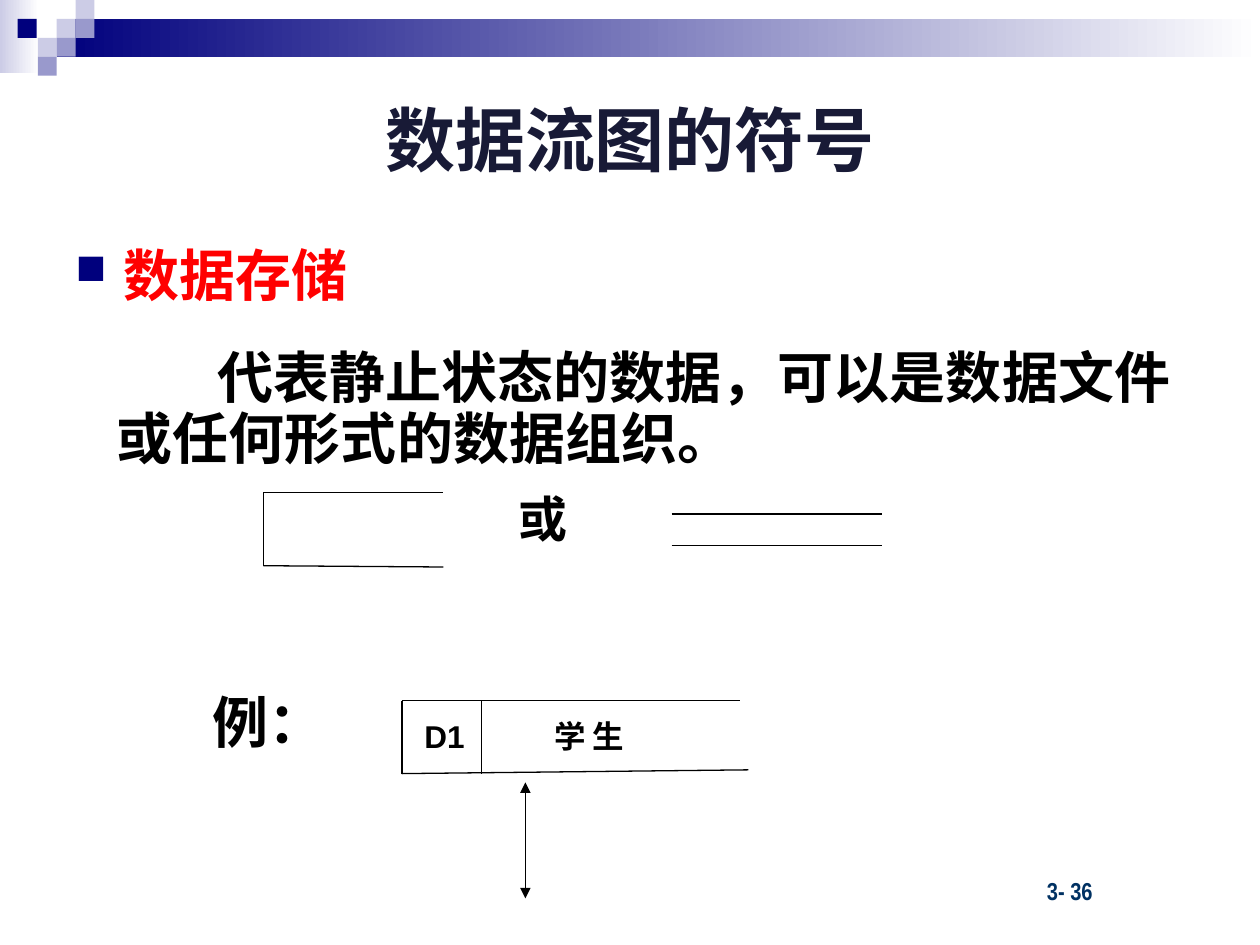
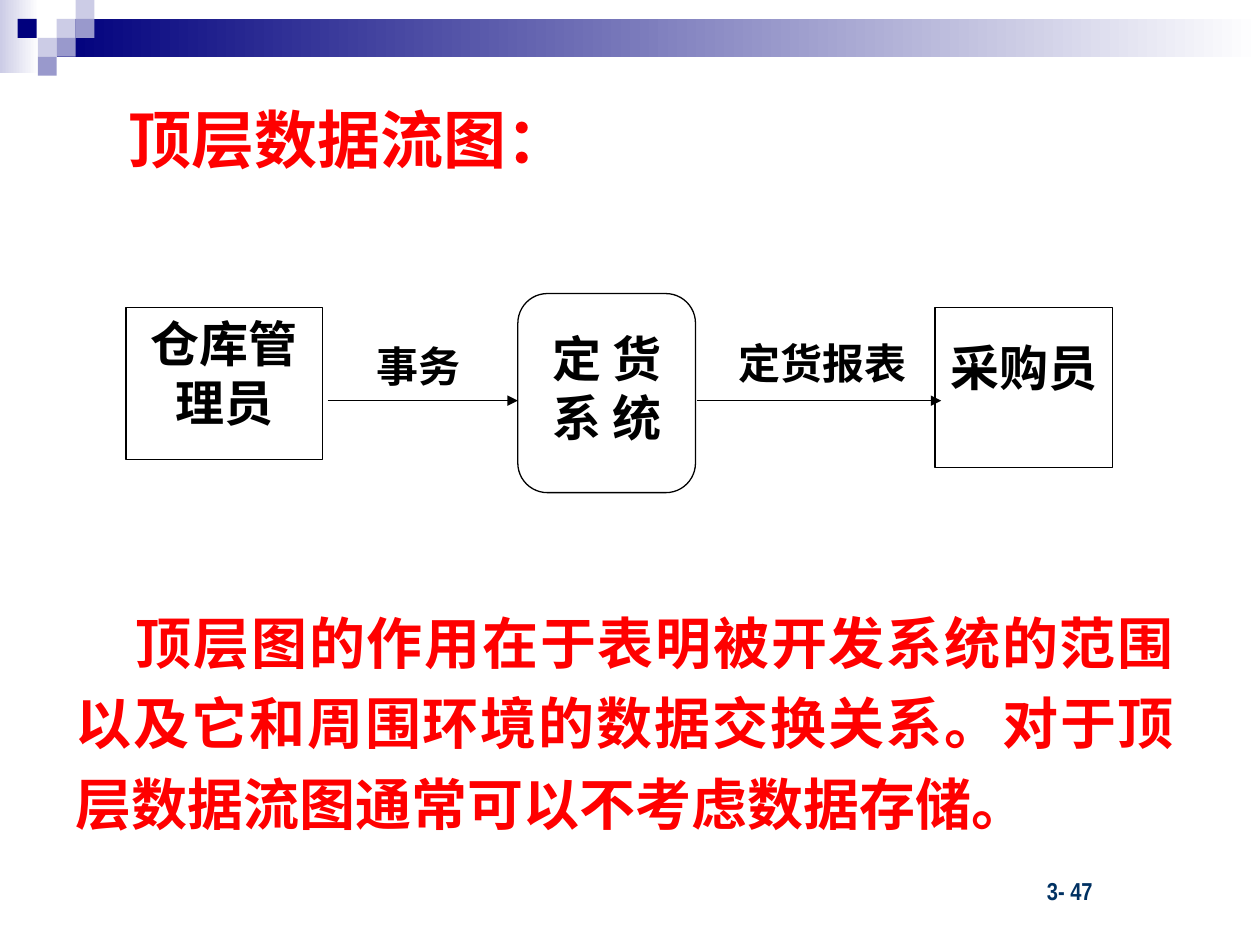
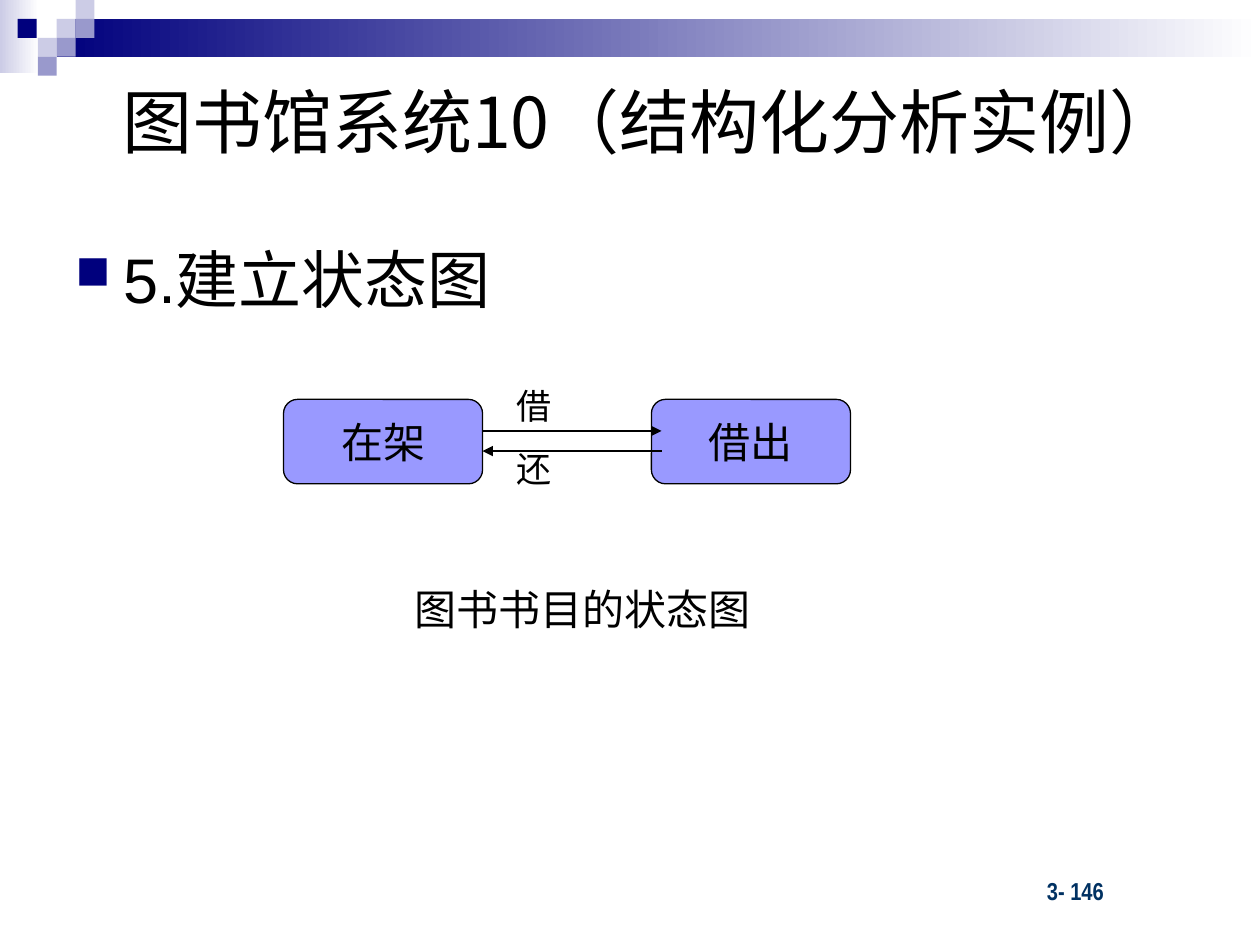
import pptx
import pptx.dml.color
import pptx.enum.shapes
import pptx.enum.text
import pptx.oxml.ns
import pptx.util
from lxml import etree
from pptx.util import Inches

Align = pptx.enum.text.PP_ALIGN
Anchor = pptx.enum.text.MSO_ANCHOR
Preset = pptx.enum.shapes.MSO_SHAPE

COLORS = {
    "navy": "00007D", "lilac": "9999CC", "pale": "CCCCE6", "white": "FFFFFF",
    "footer": "003162", "title": "181A36", "red": "FF0000", "black": "000000",
    "state": "9999FF",
}
CJK = "Noto Sans CJK SC"
SYMBOL = "DejaVu Sans"

BANDS = [((0, 0, 0.31, 0.58), "pale"), ((0.45, 0.15, 9.55, 0.3), "navy")]
SQUARE = 0.15
SQUARES = [
    (0.45, 0.15, "pale"), (0.6, 0, "pale"), (0.6, 0.15, "lilac"),
    (0.3, 0.3, "pale"), (0.14, 0.15, "navy"), (0.45, 0.3, "lilac"),
    (0.3, 0.45, "lilac"),
]
BODY_BOX = (0.5, 1.86, 9, 4.56)

# Each text is (wording, box, style).
STORE_TEXTS = [
    ("数据流图的符号", (0.5, 0.5, 9, 1.2),
     dict(size=40, color="title", bold=True, align=Align.CENTER, anchor=Anchor.MIDDLE)),
    ("数据存储", BODY_BOX, dict(size=32, font=CJK, color="red", bold=True, bullet=True)),
    ("代表静止状态的数据，可以是数据文件或任何形式的数据组织。", (0.83, 2.73, 8.83, 1.06),
     dict(size=32, font=CJK, bold=True, indent=0.8, spacing=0.9)),
    ("或", (4.02, 3.83, 0.72, 0.75),
     dict(size=28, font="Times New Roman", bold=True, align=Align.JUSTIFY)),
    ("例：", (1.59, 5.41, 1.17, 0.64), dict(size=32, bold=True)),
    ("D1", (3.27, 5.64, 0.55, 0.4), dict(size=18, bold=True)),
    ("学 生", (4.3, 5.64, 0.9, 0.4), dict(size=18, bold=True)),
]
STORE_LINES = [
    (2.09, 3.91, 3.52, 3.91), (2.09, 3.91, 2.09, 4.49), (2.09, 4.49, 3.52, 4.5),
    (5.33, 4.08, 7, 4.08), (5.33, 4.33, 7, 4.33),
    (3.19, 5.56, 5.87, 5.56), (3.19, 5.56, 3.19, 6.14), (3.19, 6.14, 5.94, 6.11),
    (3.82, 5.56, 3.82, 6.14),
]
STORE_ARROW = (4.17, 6.21, 4.17, 7.13)

FLOW_TEXTS = [
    ("顶层数据流图：", (0.92, 0.75, 5.25, 0.7),
     dict(size=36, font=CJK, color="red", bold=True, align=Align.JUSTIFY)),
    ("定货报表", (5.63, 2.63, 1.79, 0.62),
     dict(size=24, font=CJK, bold=True, align=Align.CENTER)),
    ("事务", (2.89, 2.65, 1.27, 0.52),
     dict(size=24, font=CJK, bold=True, align=Align.JUSTIFY)),
    ("顶层图的作用在于表明被开发系统的范围以及它和周围环境的数据交换关系。"
     "对于顶层数据流图通常可以不考虑数据存储。", (0.5, 4.67, 8.92, 2.02),
     dict(size=32, font=CJK, color="red", bold=True, align=Align.JUSTIFY,
          indent=0.48, spacing=1.2)),
]
# Each node is (wording, preset, box, top inset).
FLOW_NODES = [
    ("定 货系 统", Preset.FLOWCHART_ALTERNATE_PROCESS, (4.11, 2.33, 1.41, 1.58), 0.21),
    ("仓库管理员", Preset.RECTANGLE, (1, 2.44, 1.56, 1.21), 0.05),
    ("采购员", Preset.RECTANGLE, (7.42, 2.44, 1.41, 1.27), 0.24),
]
FLOW_ARROWS = [(2.6, 3.18, 4.11, 3.18), (5.53, 3.18, 7.47, 3.18)]

STATE_TEXTS = [
    ("图书馆系统10（结构化分析实例）", (0.33, 0.76, 9.67, 0.4),
     dict(size=40, font=CJK, align=Align.CENTER, anchor=Anchor.MIDDLE)),
    ("5.建立状态图", BODY_BOX, dict(size=36, bullet=True)),
    ("借", (4, 3, 1.08, 0.44), dict(size=20, font=SYMBOL)),
    ("还", (4, 3.5, 0.5, 0.44), dict(size=20, font=SYMBOL)),
    ("图书书目的状态图", (2, 4.58, 5.25, 0.5),
     dict(size=24, font=SYMBOL, align=Align.CENTER)),
]
STATES = [("在架", 2.25), ("借出", 5.17)]
STATE_ARROWS = [((3.83, 3.42, 5.25, 3.42), ["tail"]), ((3.83, 3.58, 5.25, 3.58), ["head"])]


def rgb(name):
    return pptx.dml.color.RGBColor.from_string(COLORS[name])


def add_element(parent, tag, **attributes):
    return etree.SubElement(parent, pptx.oxml.ns.qn(tag), attributes)


def write(frame, wording, size, font="Arial", color="black", bold=False, align=None,
          anchor=Anchor.TOP, bullet=False, indent=0, spacing=None, top=0.05):
    frame.word_wrap = True
    frame.vertical_anchor = anchor
    frame.margin_top = Inches(top)
    paragraph = frame.paragraphs[0]
    paragraph.text = wording
    paragraph.alignment = align
    paragraph.line_spacing = spacing
    properties = paragraph._p.get_or_add_pPr()
    if bullet:
        properties.set("marL", str(Inches(0.38)))
        indent = -0.38
        add_element(add_element(properties, "a:buClr"), "a:srgbClr", val=COLORS["navy"])
        add_element(properties, "a:buSzPct", val="75000")
        add_element(properties, "a:buChar", char="■")
    properties.set("indent", str(Inches(indent)))
    paragraph.font.size = pptx.util.Pt(size)
    paragraph.font.bold = bold
    paragraph.font.color.rgb = rgb(color)
    paragraph.font.name = font
    add_element(properties.find(pptx.oxml.ns.qn("a:defRPr")), "a:ea", typeface=CJK)


def add_text(slide, wording, box, style):
    write(slide.shapes.add_textbox(*map(Inches, box)).text_frame, wording, **style)


def add_shape(slide, preset, box, fill=None, outlined=False):
    shape = slide.shapes.add_shape(preset, *map(Inches, box))
    shape.shadow.inherit = False
    if fill:
        shape.fill.solid()
        shape.fill.fore_color.rgb = rgb(fill)
    else:
        shape.fill.background()
    if outlined:
        shape.line.color.rgb = rgb("black")
        shape.line.width = pptx.util.Pt(0.75)
    else:
        shape.line.fill.background()
    return shape


def add_line(slide, ends, arrowheads=()):
    """Draw a line; arrowheads lists "head" (start) and "tail" (end), in that order."""
    line = slide.shapes.add_connector(
        pptx.enum.shapes.MSO_CONNECTOR.STRAIGHT, *map(Inches, ends))
    line.line.color.rgb = rgb("black")
    line.line.width = pptx.util.Pt(0.75)
    for end in arrowheads:
        add_element(line.line._get_or_add_ln(), f"a:{end}End", type="triangle")
    add_element(line._element.spPr, "a:effectLst")


def add_page(presentation, number, texts):
    """Add a slide with the shared bands, squares and page number, then its texts."""
    slide = presentation.slides.add_slide(presentation.slide_layouts[6])
    for box, color in BANDS:
        band = add_shape(slide, Preset.RECTANGLE, box)
        band.fill.gradient()
        band.fill.gradient_angle = 0
        for stop, name in zip(band.fill.gradient_stops, (color, "white")):
            stop.color.rgb = rgb(name)
    for left, top, color in SQUARES:
        add_shape(slide, Preset.RECTANGLE, (left, top, SQUARE, SQUARE), color)
    add_text(slide, f"3- {number}", (8.21, 6.9, 1.15, 0.33),
             dict(size=14, font="Arial Narrow", color="footer", bold=True))
    for text in texts:
        add_text(slide, *text)
    return slide


def main():
    presentation = pptx.Presentation()
    presentation.slide_width = Inches(10)
    presentation.slide_height = Inches(7.5)

    store = add_page(presentation, 36, STORE_TEXTS)
    for ends in STORE_LINES:
        add_line(store, ends)
    add_line(store, STORE_ARROW, ["head", "tail"])

    flow = add_page(presentation, 47, FLOW_TEXTS)
    for wording, preset, box, top in FLOW_NODES:
        node = add_shape(flow, preset, box, outlined=True)
        write(node.text_frame, wording, 28, CJK, bold=True, align=Align.CENTER, top=top)
    for ends in FLOW_ARROWS:
        add_line(flow, ends, ["tail"])

    states = add_page(presentation, 146, STATE_TEXTS)
    for wording, left in STATES:
        state = add_shape(states, Preset.ROUNDED_RECTANGLE, (left, 3.17, 1.58, 0.67),
                          "state", outlined=True)
        write(state.text_frame, wording, 24, SYMBOL, align=Align.CENTER,
              anchor=Anchor.MIDDLE)
    for ends, arrowheads in STATE_ARROWS:
        add_line(states, ends, arrowheads)

    presentation.save("out.pptx")


if __name__ == "__main__":
    main()
